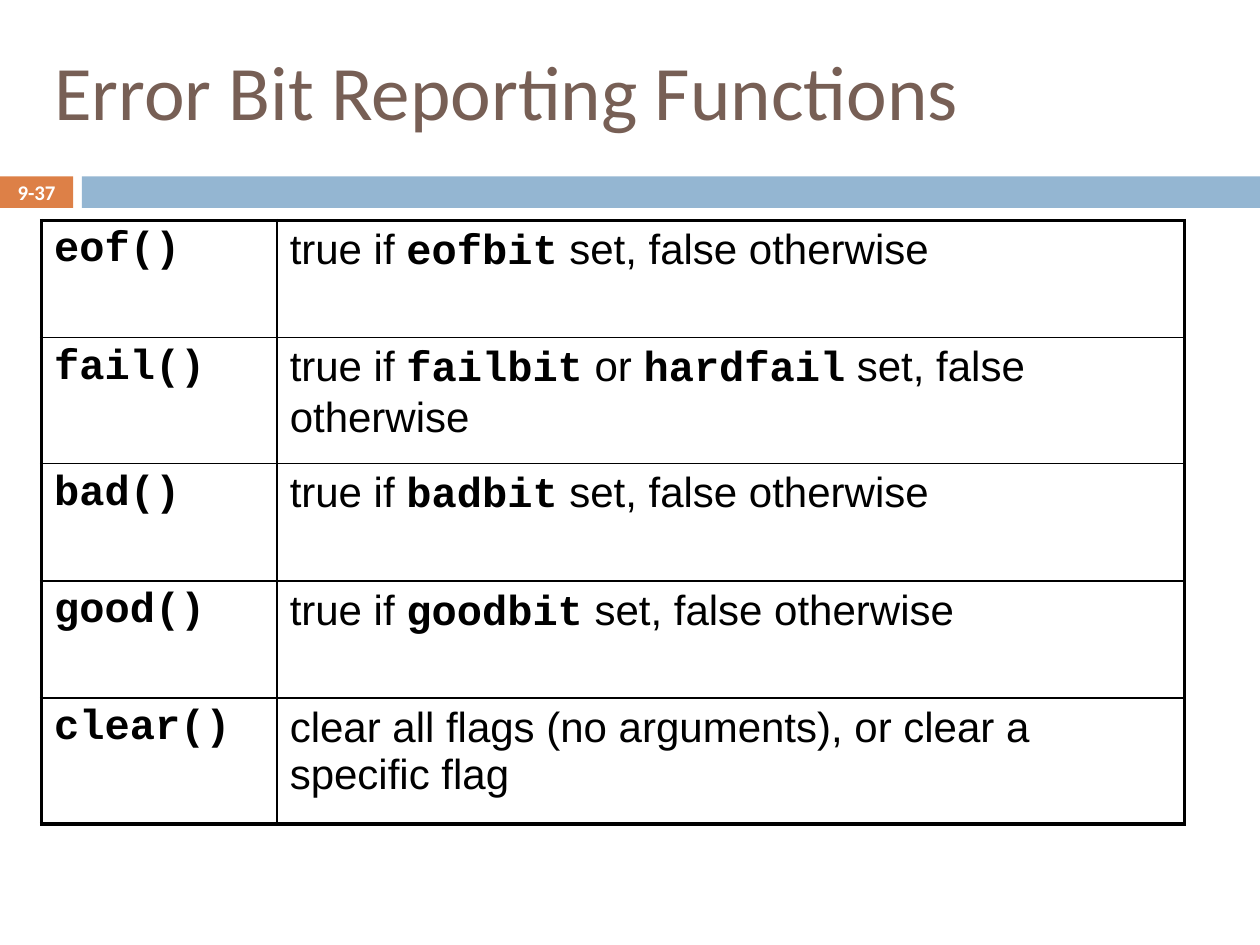
import pptx
import pptx.dml.color
import pptx.enum.shapes
import pptx.enum.text
import pptx.oxml
import pptx.oxml.ns
import pptx.util
from pptx.util import Inches

TITLE = "Error Bit Reporting Functions"
PAGE_NUMBER = "9-37"
FUNCTIONS = [
    ("`eof()`", "true if `eofbit` set, false otherwise"),
    ("`fail()`", "true if `failbit` or `hardfail` set, false otherwise"),
    ("`bad()`", "true if `badbit` set, false otherwise"),
    ("`good()`", "true if `goodbit` set, false otherwise"),
    ("`clear()`", "clear all flags (no arguments), or clear a specific flag"),
]
COLUMN_WIDTHS = [1.87, 7.2]
ROW_HEIGHTS = [0.93, 1, 0.93, 0.93, 1]

THEME = {
    "title": "775F55", "accent": "DD8047", "band": "94B6D2",
    "text": "000000", "page": "FFFFFF",
    "heading_font": "Calibri", "body_font": "Arial", "code_font": "Courier New",
    "title_size": 44, "body_size": 24, "number_size": 11.9,
    "outer_line": 2.25, "inner_line": 1,
}


def color(name):
    return pptx.dml.color.RGBColor.from_string(THEME[name])


def format_run(run, font, size, color_name, bold=False):
    run.font.name = THEME[font]
    run.font.size = pptx.util.Pt(THEME[size])
    run.font.color.rgb = color(color_name)
    run.font.bold = bold


def add_bar(slide, left, width, fill):
    shape = slide.shapes.add_shape(
        pptx.enum.shapes.MSO_SHAPE.RECTANGLE,
        Inches(left), Inches(1.4), Inches(width), Inches(0.25))
    shape.shadow.inherit = False
    shape.fill.solid()
    shape.fill.fore_color.rgb = color(fill)
    shape.line.fill.background()
    return shape


def add_title(slide):
    title = slide.shapes.title
    title.left, title.top = Inches(0.33), Inches(0.17)
    title.width, title.height = Inches(9.42), Inches(1.09)
    frame = title.text_frame
    frame.text = TITLE
    frame.vertical_anchor = pptx.enum.text.MSO_ANCHOR.MIDDLE
    paragraph = frame.paragraphs[0]
    paragraph.alignment = pptx.enum.text.PP_ALIGN.LEFT
    format_run(paragraph.runs[0], "heading_font", "title_size", "title")


def add_page_number(slide):
    frame = add_bar(slide, 0, 0.58, "accent").text_frame
    frame.margin_left = frame.margin_right = 0
    frame.margin_top = frame.margin_bottom = 0
    frame.vertical_anchor = pptx.enum.text.MSO_ANCHOR.MIDDLE
    frame.text = PAGE_NUMBER
    paragraph = frame.paragraphs[0]
    paragraph.alignment = pptx.enum.text.PP_ALIGN.CENTER
    format_run(paragraph.runs[0], "heading_font", "number_size", "page", True)


def set_borders(cell, outer_sides):
    properties = cell._tc.get_or_add_tcPr()
    for position, side in enumerate("LRTB"):
        weight = THEME["outer_line" if side in outer_sides else "inner_line"]
        line = pptx.oxml.parse_xml(
            f'<a:ln{side} {pptx.oxml.ns.nsdecls("a")} w="{pptx.util.Pt(weight)}">'
            f'<a:solidFill><a:srgbClr val="{THEME["text"]}"/></a:solidFill>'
            f'</a:ln{side}>')
        properties.insert(position, line)


def write_cell(cell, text):
    paragraph = cell.text_frame.paragraphs[0]
    for position, part in enumerate(text.split("`")):
        if part:
            is_code = position % 2 == 1
            run = paragraph.add_run()
            run.text = part
            font = "code_font" if is_code else "body_font"
            format_run(run, font, "body_size", "text", is_code)


def add_function_table(slide):
    row_count, column_count = len(FUNCTIONS), len(COLUMN_WIDTHS)
    table = slide.shapes.add_table(
        row_count, column_count, Inches(0.33), Inches(1.75),
        Inches(sum(COLUMN_WIDTHS)), Inches(sum(ROW_HEIGHTS))).table
    table.first_row = table.horz_banding = False
    for column, width in zip(table.columns, COLUMN_WIDTHS):
        column.width = Inches(width)
    for row, height in zip(table.rows, ROW_HEIGHTS):
        row.height = Inches(height)
    for row_index, texts in enumerate(FUNCTIONS):
        for column_index, text in enumerate(texts):
            cell = table.cell(row_index, column_index)
            cell.fill.background()
            write_cell(cell, text)
            edges = {
                "L": column_index == 0, "R": column_index == column_count - 1,
                "T": row_index == 0, "B": row_index == row_count - 1,
            }
            set_borders(cell, [side for side, outer in edges.items() if outer])


def main():
    presentation = pptx.Presentation()
    presentation.slide_width, presentation.slide_height = Inches(10), Inches(7.5)
    slide = presentation.slides.add_slide(presentation.slide_layouts[5])
    slide.background.fill.solid()
    slide.background.fill.fore_color.rgb = color("page")
    add_bar(slide, 0.65, 9.35, "band")
    add_title(slide)
    add_function_table(slide)
    add_page_number(slide)
    presentation.save("out.pptx")


if __name__ == "__main__":
    main()
